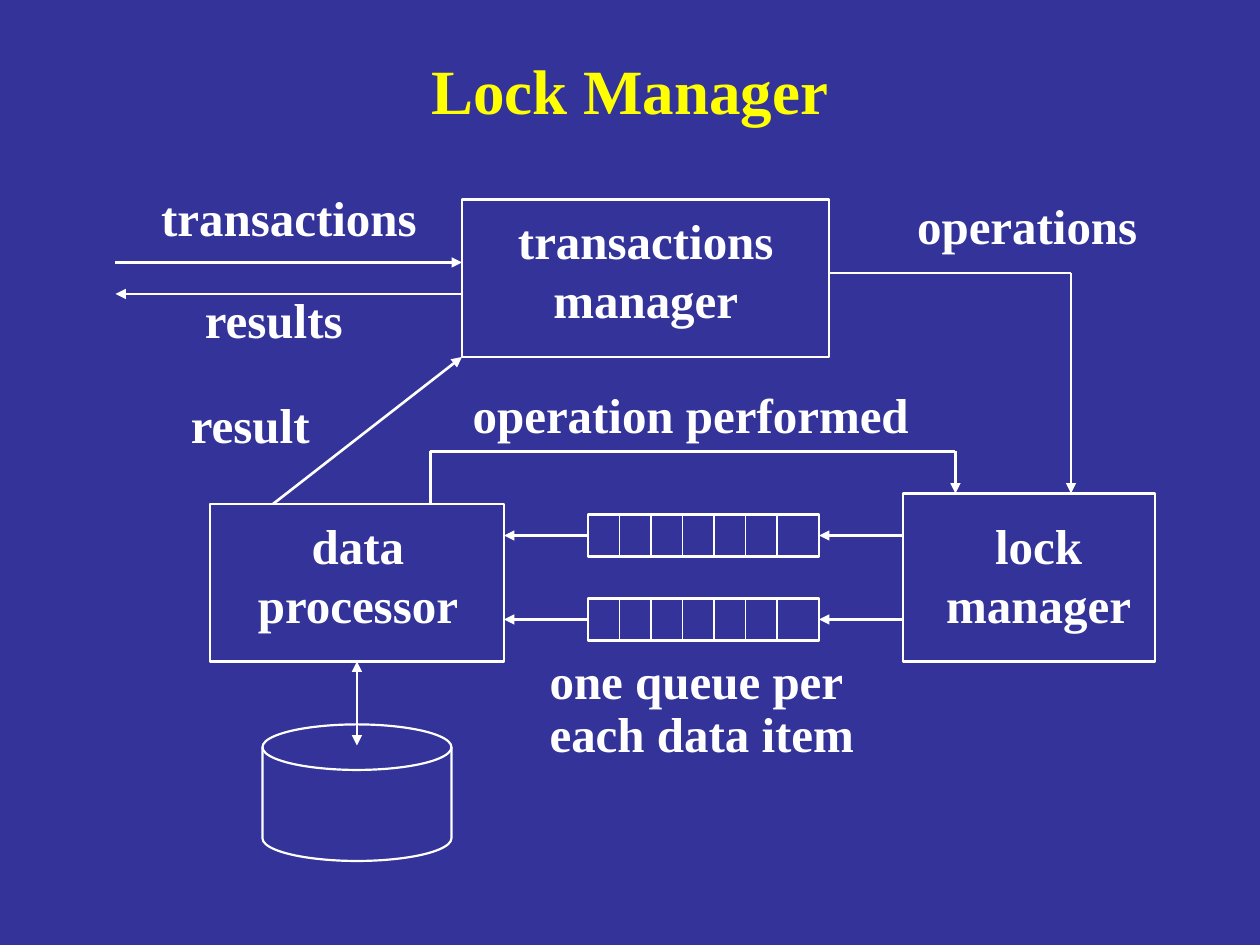
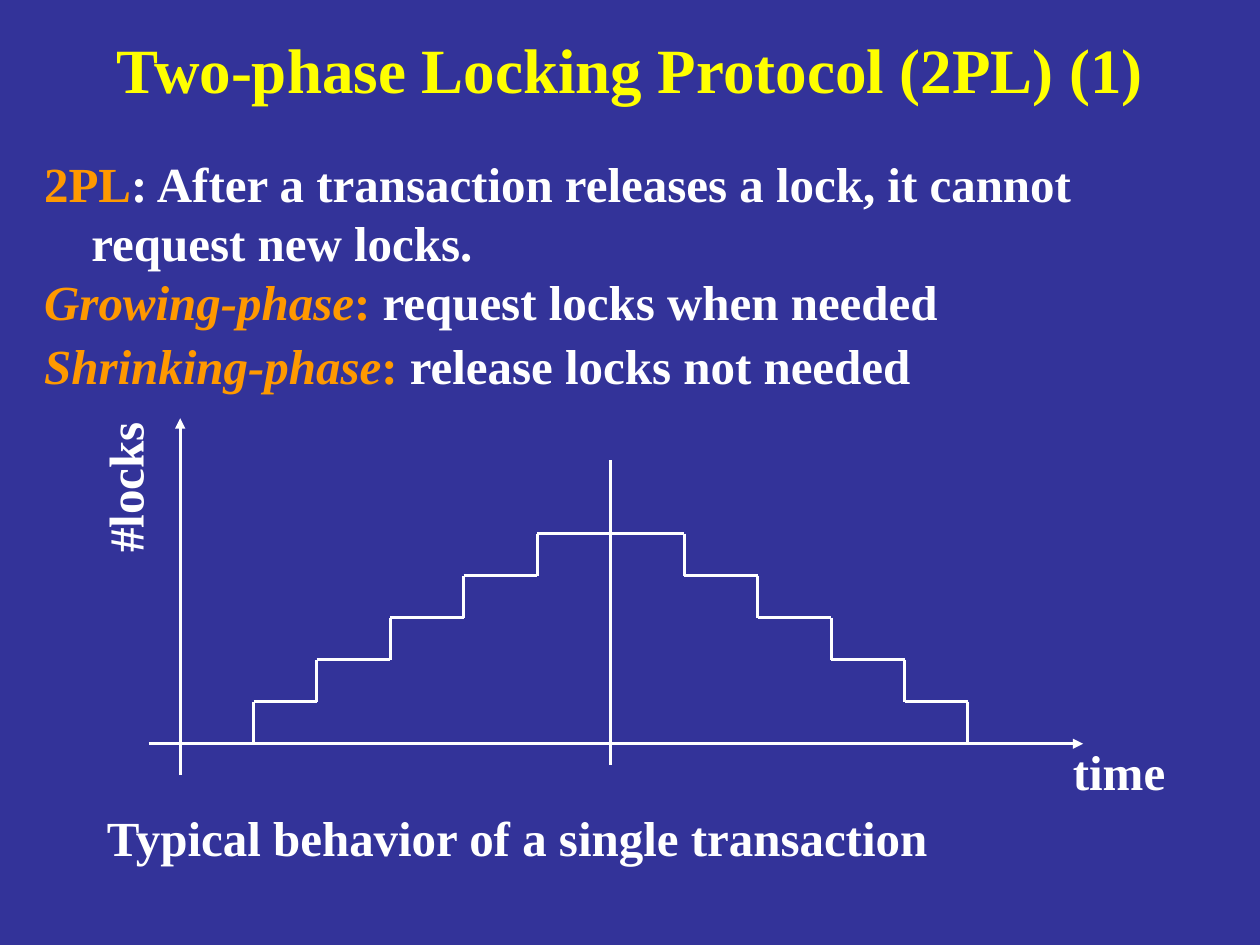
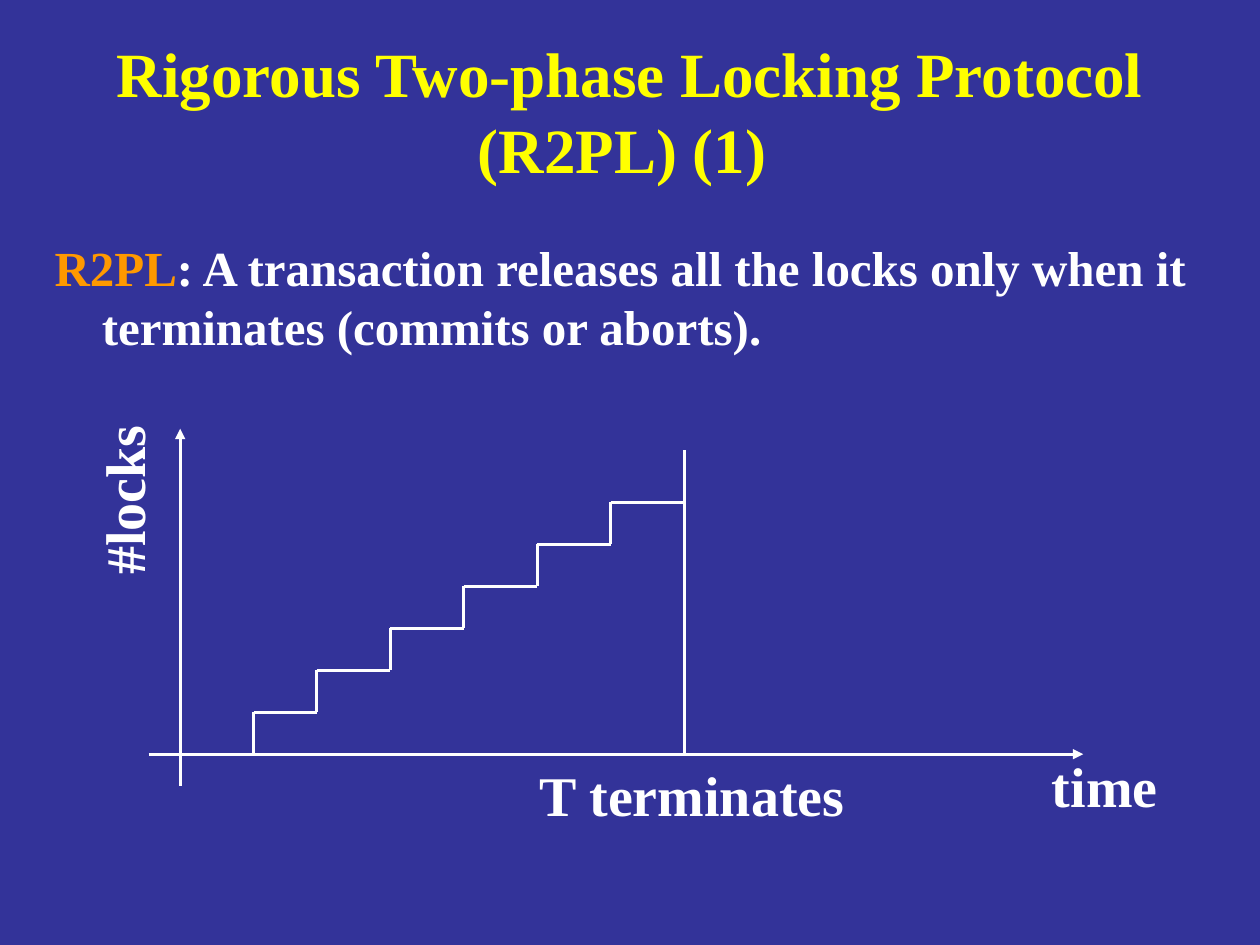
from dataclasses import dataclass
from itertools import pairwise

from lxml.etree import SubElement
from pptx import Presentation
from pptx.dml.color import RGBColor
from pptx.enum.shapes import MSO_CONNECTOR, MSO_SHAPE
from pptx.enum.text import MSO_ANCHOR, MSO_AUTO_SIZE, PP_ALIGN
from pptx.oxml.ns import qn
from pptx.util import Pt


@dataclass(frozen=True)
class Theme:
    font: str = "Times New Roman"
    background: RGBColor = RGBColor(0x33, 0x33, 0x99)
    title: RGBColor = RGBColor(0xFF, 0xFF, 0x00)
    text: RGBColor = RGBColor(0xFF, 0xFF, 0xFF)
    accent: RGBColor = RGBColor(0xFF, 0x99, 0x00)
    title_size: int = 36
    text_size: int = 28
    large_size: int = 32
    thin: float = 0.75
    outline: float = 1.25
    stroke: float = 1.5


THEME = Theme()
TITLE_ONLY, TITLE_AND_BODY = 5, 1
AXIS_X, AXIS_LEFT, AXIS_RIGHT = 103, 85, 619
STAIRS_X, RISE = 145, 24


def place(sp, box):
    sp.left, sp.top, sp.width, sp.height = (Pt(v) for v in box)


def style(r, size, color, italic=False):
    r.font.name = THEME.font
    r.font.size = Pt(size)
    r.font.bold = True
    r.font.italic = italic
    r.font.color.rgb = color


def add_slide(prs, layout, title, box):
    s = prs.slides.add_slide(prs.slide_layouts[layout])
    sp = s.shapes.title
    place(sp, box)
    tf = sp.text_frame
    tf.text = title
    tf.auto_size = MSO_AUTO_SIZE.NONE
    tf.vertical_anchor = MSO_ANCHOR.MIDDLE
    p = tf.paragraphs[0]
    p.alignment = PP_ALIGN.CENTER
    style(p.runs[0], THEME.title_size, THEME.title)
    return s


def fill_body(s, box, items):
    sp = s.placeholders[1]
    place(sp, box)
    tf = sp.text_frame
    tf.auto_size = MSO_AUTO_SIZE.NONE
    for i, (spacing, runs) in enumerate(items):
        p = tf.paragraphs[0] if i == 0 else tf.add_paragraph()
        p.space_before = Pt(7)
        p.line_spacing = spacing
        pPr = p._p.get_or_add_pPr()
        pPr.set("marL", str(Pt(27)))
        pPr.set("indent", str(Pt(-27)))
        SubElement(pPr, qn("a:buNone"))
        for text, color, italic in runs:
            r = p.add_run()
            r.text = text
            style(r, THEME.text_size, color, italic)


def label(s, text, box, size=THEME.text_size, align=PP_ALIGN.LEFT, spacing=1.0, rotation=0):
    sp = s.shapes.add_textbox(*(Pt(v) for v in box))
    sp.rotation = rotation
    tf = sp.text_frame
    tf.text = text
    tf.word_wrap = False
    tf.auto_size = MSO_AUTO_SIZE.SHAPE_TO_FIT_TEXT
    for p in tf.paragraphs:
        p.alignment = align
        p.line_spacing = spacing
        style(p.runs[0], size, THEME.text)


def outline(s, box, shape=MSO_SHAPE.RECTANGLE):
    sp = s.shapes.add_shape(shape, *(Pt(v) for v in box))
    sp.shadow.inherit = False
    sp.fill.background()
    sp.line.color.rgb = THEME.text
    sp.line.width = Pt(THEME.outline)


def line(s, start, end, ends=(), width=THEME.stroke):
    c = s.shapes.add_connector(MSO_CONNECTOR.STRAIGHT, *(Pt(v) for v in (*start, *end)))
    c.line.color.rgb = THEME.text
    c.line.width = Pt(width)
    for name in ends:
        SubElement(c.line._get_or_add_ln(), qn(f"a:{name}")).set("type", "triangle")
    SubElement(c._element.spPr, qn("a:effectLst"))


def arrow(s, start, end):
    line(s, start, end, ["tailEnd"])


def queue(s, top):
    left, width, height, cell = 336, 132, 24, 18
    middle = top + height / 2
    outline(s, (left, top, width, height))
    for i in range(1, 7):
        x = left + i * cell
        line(s, (x, top), (x, top + height), width=THEME.thin)
    arrow(s, (516, middle), (left + width, middle))
    arrow(s, (left, middle), (288, middle))


def axes(s, base):
    arrow(s, (AXIS_LEFT, base), (AXIS_RIGHT, base))
    arrow(s, (AXIS_X, base + 18), (AXIS_X, base - 186))


def stairs(s, base, steps):
    x = STAIRS_X
    points = [(x, base)]
    for tread, level in steps:
        y = base - level * RISE
        points += [(x, y), (x + tread, y)]
        x += tread
    if steps[-1][1] == 1:
        points.append((x, base))
    for start, end in pairwise(points):
        if start != end:
            line(s, start, end)


def lock_manager(prs):
    s = add_slide(prs, TITLE_ONLY, "Lock Manager", (54, 18, 612, 66))
    for box in ((264, 114, 210, 90), (516, 282, 144, 96), (120, 288, 168, 90)):
        outline(s, box)
    outline(s, (150, 414, 108, 78), MSO_SHAPE.FLOWCHART_MAGNETIC_DISK)
    for top in (294, 342):
        queue(s, top)

    arrow(s, (66, 150), (264, 150))
    arrow(s, (264, 168), (66, 168))
    line(s, (474, 156), (612, 156), width=THEME.thin)
    arrow(s, (612, 156), (612, 282))
    arrow(s, (156, 288), (264, 204))
    line(s, (246, 288), (246, 258))
    line(s, (246, 258), (546, 258))
    arrow(s, (546, 258), (546, 282))
    line(s, (204, 378), (204, 426), ["headEnd", "tailEnd"])

    for text, box in (
        ("transactions\nmanager", (288, 117, 162, 75)),
        ("lock\nmanager", (532, 291, 123, 75)),
        ("data\nprocessor", (139, 291, 131, 75)),
    ):
        label(s, text, box, align=PP_ALIGN.CENTER)
    for text, box in (
        ("transactions", (85, 103.5, 162, 41)),
        ("results", (110, 162, 95, 41)),
        ("result", (102, 222, 84, 41)),
        ("operation performed", (263, 216, 265, 41)),
        ("operations", (517, 108, 141, 41)),
    ):
        label(s, text, box)
    label(s, "one queue per\neach data item", (307, 372, 191, 68), spacing=0.9)


def two_phase(prs):
    s = add_slide(prs, TITLE_AND_BODY, "Two-phase Locking Protocol (2PL) (1)", (24, 12, 672, 54))
    fill_body(s, (18, 84, 684, 438), [
        (1.0, [("2PL", THEME.accent, False),
               (": After a transaction releases a lock, it cannot request new locks.", THEME.text, False)]),
        (0.8, [("Growing-phase", THEME.accent, True), (":", THEME.accent, False),
               (" request locks when needed", THEME.text, False)]),
        (0.9, [("Shrinking-phase", THEME.accent, True), (":", THEME.accent, False),
               (" release locks not needed", THEME.text, False)]),
    ])
    base = 425
    growing = [(36, 1)] + [(42, level) for level in range(2, 6)]
    axes(s, base)
    stairs(s, base, growing + growing[::-1])
    line(s, (349, base + 12), (349, base - 162))
    label(s, "time", (606, 420, 68, 41))
    label(s, "#locks", (26, 257.5, 90, 41), rotation=270)
    label(s, "Typical behavior of a single transaction", (54, 458, 487, 41))


def rigorous_two_phase(prs):
    s = add_slide(prs, TITLE_AND_BODY, "Rigorous Two-phase Locking Protocol (R2PL) (1) ", (54, 12, 612, 102))
    fill_body(s, (24, 132, 672, 366), [
        (1.0, [("R2PL", THEME.accent, False),
               (": A transaction releases all the locks only when it terminates (commits or aborts).",
                THEME.text, False)]),
    ])
    base = 431
    axes(s, base)
    stairs(s, base, [(36, 1)] + [(42, level) for level in range(2, 7)])
    line(s, (391, base), (391, base - 174))
    label(s, "time", (594, 426, 76, 46), THEME.large_size)
    label(s, "#locks", (19, 261, 103, 46), THEME.large_size, rotation=270)
    label(s, "T terminates", (301, 431, 191, 46), THEME.large_size)


def main():
    prs = Presentation()
    prs.slide_width, prs.slide_height = Pt(720), Pt(540)
    fill = prs.slide_master.background.fill
    fill.solid()
    fill.fore_color.rgb = THEME.background
    lock_manager(prs)
    two_phase(prs)
    rigorous_two_phase(prs)
    prs.save("out.pptx")


if __name__ == "__main__":
    main()
